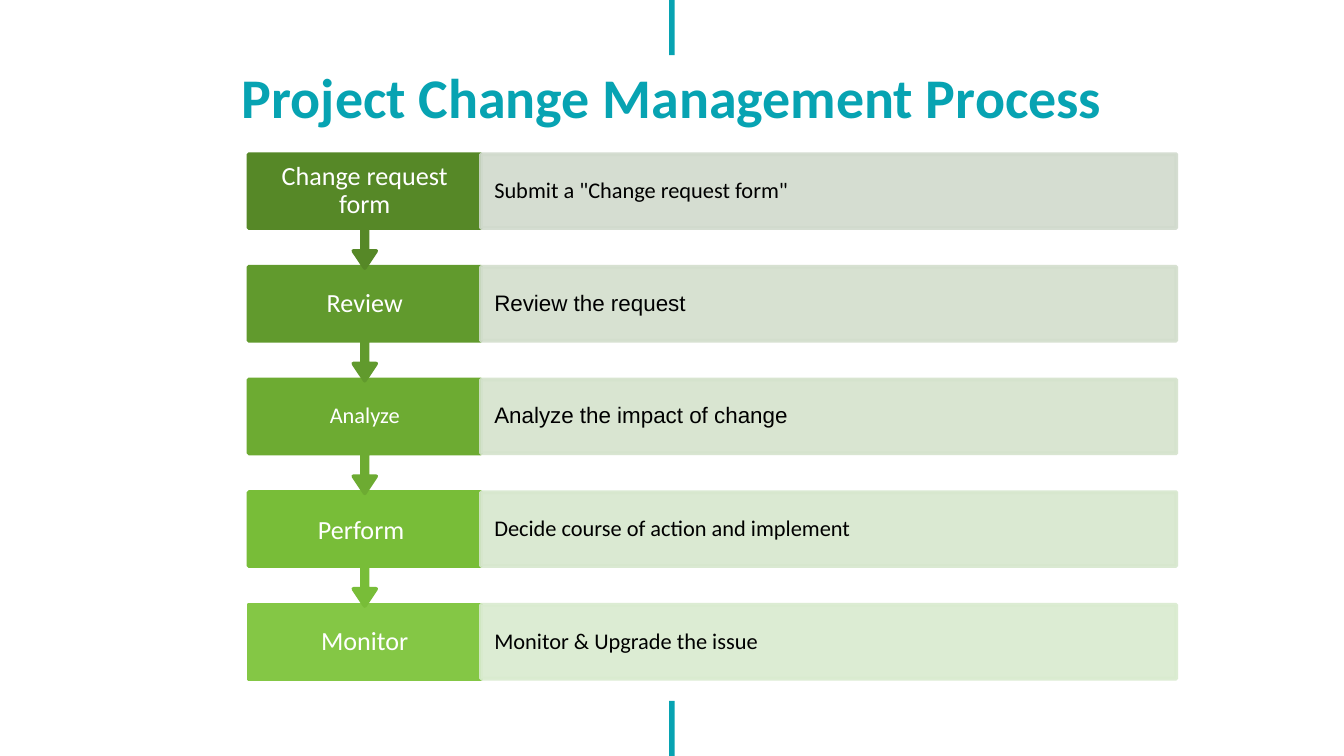
import pptx
import pptx.dml.color
import pptx.enum.shapes
import pptx.enum.text
import pptx.oxml.ns
import pptx.util
from lxml import etree

Pt = pptx.util.Pt
RGB = pptx.dml.color.RGBColor
SHAPE = pptx.enum.shapes.MSO_SHAPE
ALIGN = pptx.enum.text.PP_ALIGN
ANCHOR = pptx.enum.text.MSO_ANCHOR

TEAL = RGB(0x07, 0xA3, 0xB2)
WHITE = RGB(0xFF, 0xFF, 0xFF)
BLACK = RGB(0x00, 0x00, 0x00)
STEP_GREENS = [RGB.from_string(c) for c in
               ("568827", "619A2D", "6DAB32", "78BD38", "84C745")]
DETAIL_GREENS = [RGB.from_string(c) for c in
                 ("D1DACD", "D3DECD", "D5E3CD", "D7E7CE", "D9EBCF")]


def write(shape, text, size=12, font="Calibri", color=BLACK, bold=False,
          align=ALIGN.LEFT, anchor=ANCHOR.MIDDLE, insets=(7.2, 7.2),
          spacing=0.9, trailing_size=None):
    frame = shape.text_frame
    frame.word_wrap = True
    frame.vertical_anchor = anchor
    frame.margin_left = frame.margin_right = Pt(insets[0])
    frame.margin_top = frame.margin_bottom = Pt(insets[1])
    paragraph = frame.paragraphs[0]
    paragraph.alignment = align
    paragraph.line_spacing = spacing
    pieces = [(text, size)]
    if trailing_size:
        pieces.append(("\u00a0", trailing_size))
    for words, points in pieces:
        run = paragraph.add_run()
        run.text = words
        run.font.size = Pt(points)
        run.font.name = font
        run.font.bold = bold
        run.font.color.rgb = color


class ProcessSlide:
    outline = 2

    def __init__(self, slide):
        self.shapes = slide.shapes

    def block(self, kind, left, top, width, height, color,
              outlined=True, opacity=None):
        shape = self.shapes.add_shape(kind, Pt(left), Pt(top), Pt(width), Pt(height))
        shape.shadow.inherit = False
        shape.fill.solid()
        shape.fill.fore_color.rgb = color
        if outlined:
            shape.line.color.rgb = color
            shape.line.width = Pt(self.outline)
        else:
            shape.line.fill.background()
        if opacity:
            for tint in shape.element.spPr.iter(pptx.oxml.ns.qn("a:srgbClr")):
                etree.SubElement(tint, pptx.oxml.ns.qn("a:alpha"),
                                 val=str(opacity * 1000))
        return shape

    def callout(self, left, top, width, height, color):
        shape = self.block(SHAPE.DOWN_ARROW_CALLOUT, left, top, width, height, color)
        for index, ratio in enumerate((0.05, 0.1, 0.15, 0.65)):
            shape.adjustments[index] = ratio
        return shape

    def heading(self, left, top, width, height, text):
        box = self.shapes.add_textbox(Pt(left), Pt(top), Pt(width), Pt(height))
        write(box, text, size=30, color=TEAL, bold=True, align=ALIGN.CENTER,
              anchor=ANCHOR.TOP, spacing=1.0)


deck = pptx.Presentation()
deck.slide_width, deck.slide_height = Pt(720), Pt(405)
page = ProcessSlide(deck.slides.add_slide(deck.slide_layouts[6]))

# Accent bars at the top and bottom edges
BAR_HEIGHT = 29.5
for bar_top in (0, 405 - BAR_HEIGHT):
    page.block(SHAPE.RECTANGLE, 358.5, bar_top, 3, BAR_HEIGHT, TEAL, outlined=False)

# Title
page.heading(69, 26.6, 582, 47.5, "Project Change Management Process")

# Process steps: label, its format, detail, detail font
STEPS = [
    ("Change request form", {}, 'Submit a "Change request form"', "Calibri"),
    ("Review", {}, "Review the request", "Arial"),
    ("Analyze", {"size": 12}, "Analyze the impact of change", "Arial"),
    ("Perform", {"trailing_size": 17}, "Decide course of action and implement", "Calibri"),
    ("Monitor", {}, "Monitor & Upgrade the issue", "Calibri"),
]
LEFT, TOP, PITCH = 133.2, 82.6, 60.35
STEP_WIDTH, DETAIL_WIDTH = 124.5, 372.5
ROW_HEIGHT, CALLOUT_HEIGHT = 39.6, 61

# Drawn from the last step up, so that each arrow overlaps the step below
for number in reversed(range(len(STEPS))):
    label, label_format, detail, detail_font = STEPS[number]
    top = TOP + number * PITCH
    color = STEP_GREENS[number]
    if number == len(STEPS) - 1:
        step = page.block(SHAPE.RECTANGLE, LEFT, top, STEP_WIDTH, ROW_HEIGHT, color)
    else:
        step = page.callout(LEFT, top, STEP_WIDTH, CALLOUT_HEIGHT, color)
    write(step, label, **{"size": 14, "color": WHITE, "align": ALIGN.CENTER,
                          "insets": (8.6, 7), **label_format})
    panel = page.block(SHAPE.RECTANGLE, LEFT + STEP_WIDTH, top, DETAIL_WIDTH,
                       ROW_HEIGHT, DETAIL_GREENS[number], opacity=90)
    write(panel, detail, font=detail_font, insets=(7.2, 12))

deck.save("out.pptx")
